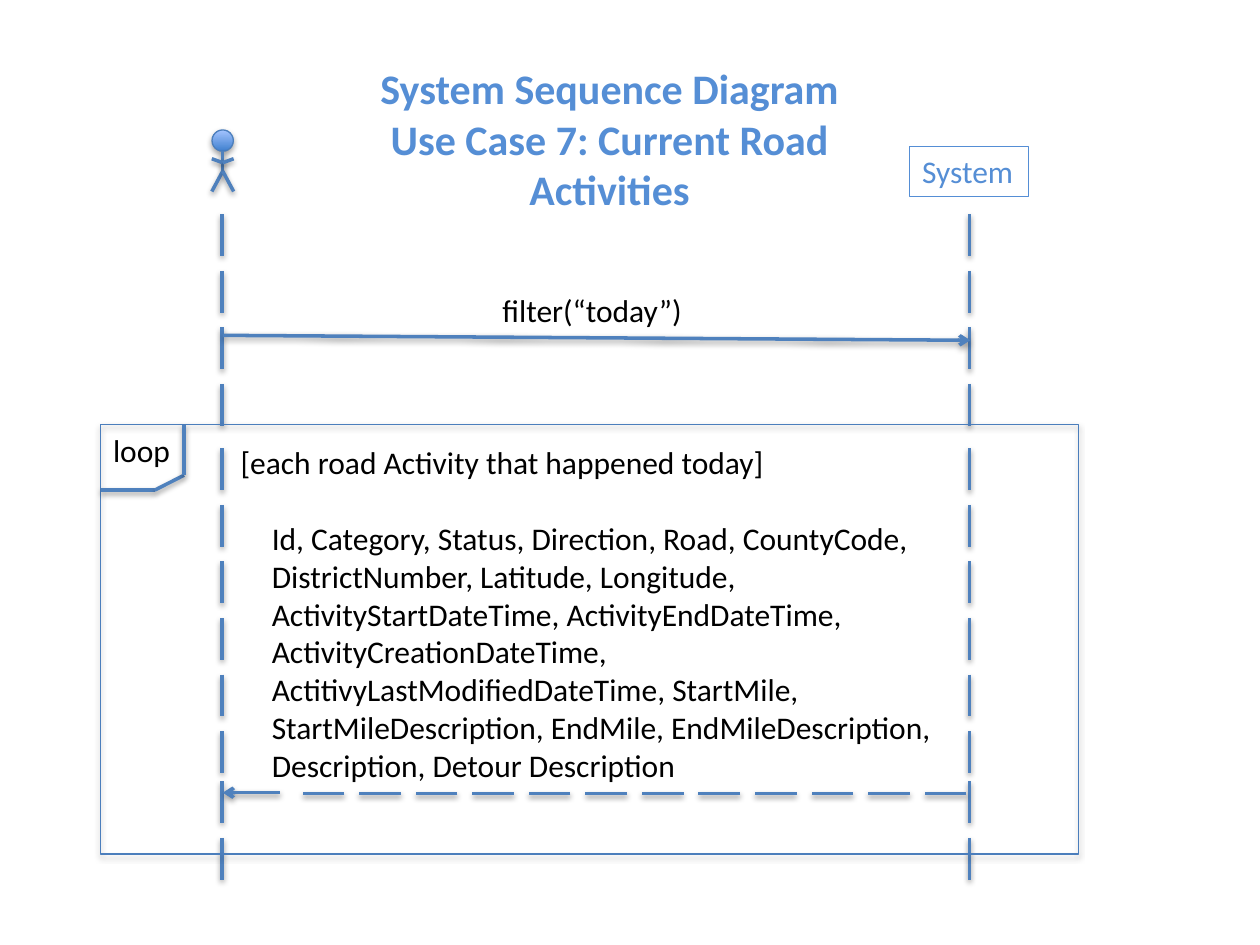
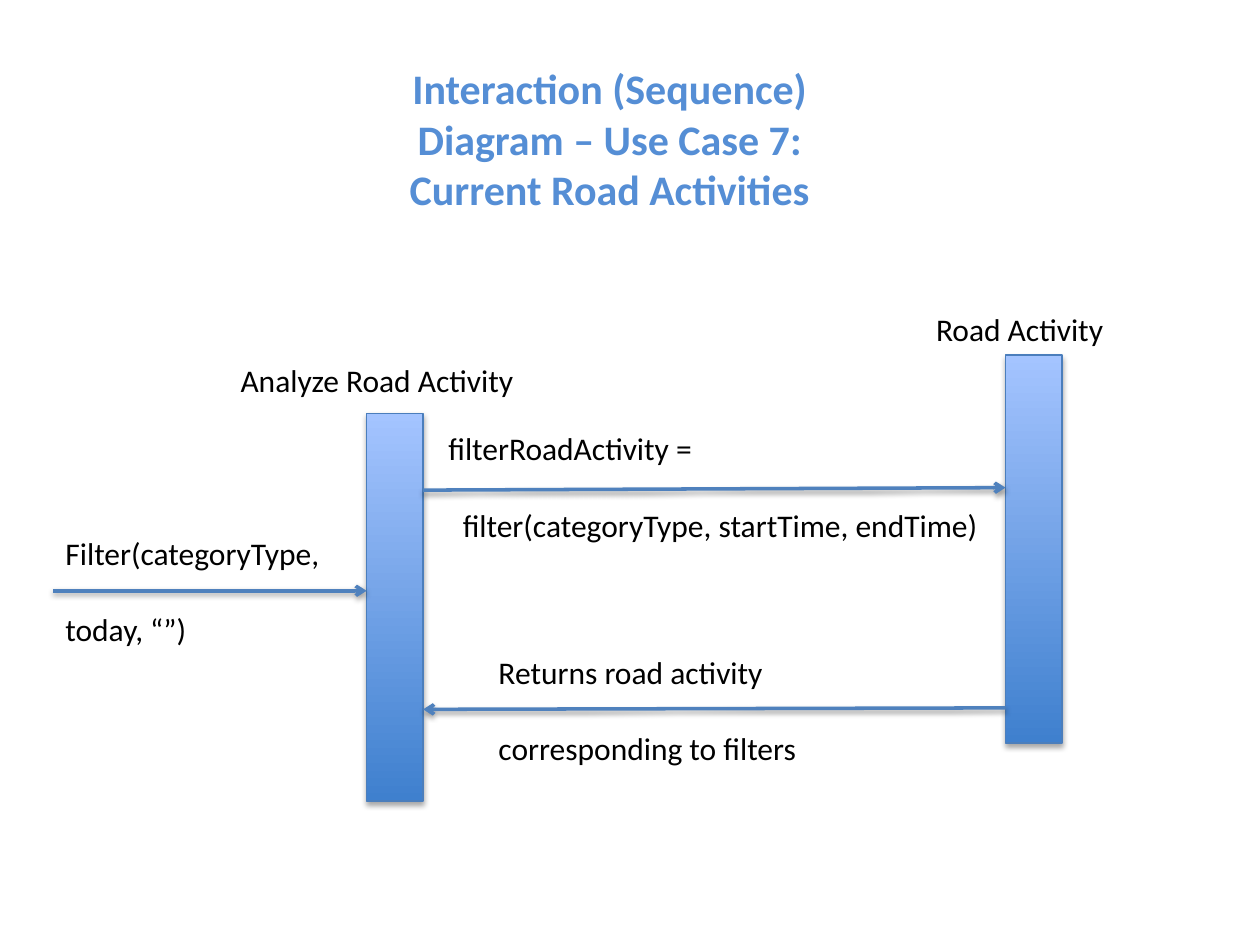
from itertools import pairwise

from lxml import etree
from pptx import Presentation
from pptx.dml.color import RGBColor
from pptx.enum import shapes as kinds, text as text_enum
from pptx.oxml.ns import qn
from pptx.util import Cm, Pt

FONT = "Calibri"
TITLE_BLUE = RGBColor(0x55, 0x8E, 0xD5)
LINE_BLUE = RGBColor(0x4F, 0x81, 0xBD)
EDGE_BLUE = RGBColor(0x4B, 0x7E, 0xBC)
DEEP_BLUE = RGBColor(0x3F, 0x80, 0xCE)
PALE_BLUE = RGBColor(0xA4, 0xC4, 0xFF)
BLACK = RGBColor(0, 0, 0)

# All positions and lengths below are in centimetres.
TITLE_BOX = (7.39, 1.14, 9.8, 3.33)
LINE_HEIGHT = 1.02
SKIPPED_LINE = Pt(22)

SYSTEM_TITLE = ["System Sequence Diagram", "Use Case 7: Current Road Activities"]
INTERACTION_TITLE = ["Interaction (Sequence) Diagram – Use Case 7: Current Road Activities"]

# Dashes
DASH, PITCH = 0.84, 1.14
LIFELINES = [4.47, 19.54]
LIFELINE_RUNS = [(4.32, 4), (9.04, 6), (15.75, 2)]  # top, number of dashes
RETURN_START, RETURN_Y, RETURN_DASHES = 19.48, 16, 12

# Actor
ACTOR_X, HEAD_TOP, HEAD_SIZE, LIMB_REACH = 4.49, 2.62, 0.43, 0.22
NECK, HANDS, SHOULDERS, HIPS, FEET = 3.05, 3.2, 3.28, 3.45, 3.86

# Loop frame
LOOP_FRAME = (2.03, 8.56, 19.71, 8.66)
LOOP_TAB = [(2.03, 9.88), (3.12, 9.88), (3.71, 9.58), (3.71, 8.56)]

# Labels: left, top, width, lines
SYSTEM_LABEL = (18.34, 2.95, 2.39, ["System"])
SYSTEM_LABELS = [
    (9.88, 5.74, 4.17, ["filter(“today”)"]),
    (5.23, 10.34, 13.94, [
        "Id, Category, Status, Direction, Road, CountyCode,",
        "DistrictNumber, Latitude, Longitude,",
        "ActivityStartDateTime, ActivityEndDateTime,",
        "ActivityCreationDateTime,",
        "ActitivyLastModifiedDateTime, StartMile,",
        "StartMileDescription, EndMile, EndMileDescription,",
        "Description, Detour Description",
    ]),
    (2.03, 8.56, 1.68, ["loop"]),
    (4.6, 8.81, 11.2, ["[each road Activity that happened today]"]),
]
SYSTEM_MESSAGES = [((5.64, 15.98), (4.49, 15.98)), ((4.49, 6.76), (19.56, 6.86))]

ACTIVATION_BARS = [(7.39, 8.33, 1.14, 7.82), (20.27, 7.16, 1.14, 7.82)]
OBJECT_LABELS = [
    (4.6, 7.16, 6.1, ["Analyze Road Activity"]),
    (18.62, 6.12, 3.94, ["Road Activity"]),
]
# Start, end, label around the arrow, indent of the label's second line
CALLS = [
    ((1.07, 11.91), (7.39, 11.91),
     (1.07, 10.64, 5.74, ["Filter(categoryType,", "today, “”)"]), 0),
    ((8.53, 9.88), (20.27, 9.83),
     (8.79, 8.53, 11.35, ["filterRoadActivity =",
                          "filter(categoryType, startTime, endTime)"]), 0.29),
    ((20.27, 14.27), (8.53, 14.3),
     (9.8, 13.03, 6.6, ["Returns road activity", "corresponding to filters"]), 0),
]


def cm(lengths):
    return [Cm(length) for length in lengths]


def write(frame, lines, size, color, bold=False):
    frame.text = "\n".join(lines)
    for paragraph in frame.paragraphs:
        font = paragraph.font
        font.name, font.size, font.bold = FONT, Pt(size), bold
        font.color.rgb = color


def add_titled_slide(deck, lines):
    slide = deck.slides.add_slide(deck.slide_layouts[5])
    title = slide.shapes.title
    title.left, title.top, title.width, title.height = cm(TITLE_BOX)
    frame = title.text_frame
    frame.auto_size = text_enum.MSO_AUTO_SIZE.NONE
    frame.vertical_anchor = text_enum.MSO_ANCHOR.TOP
    write(frame, lines, 24, TITLE_BLUE, bold=True)
    for paragraph in frame.paragraphs:
        paragraph.alignment = text_enum.PP_ALIGN.CENTER
    return slide.shapes


def add_label(shapes, label, color=BLACK):
    left, top, width, lines = label
    box = shapes.add_textbox(*cm((left, top, width, LINE_HEIGHT * len(lines))))
    box.text_frame.word_wrap = False
    box.text_frame.auto_size = text_enum.MSO_AUTO_SIZE.SHAPE_TO_FIT_TEXT
    write(box.text_frame, lines, 18, color)
    return box


def add_line(shapes, start, end, arrow=False):
    """Draw a line that keeps the theme's soft shadow."""
    line = shapes.add_connector(kinds.MSO_CONNECTOR.STRAIGHT, *cm(start + end))
    line.line.color.rgb = LINE_BLUE
    line.line.width = Pt(2)
    if arrow:
        etree.SubElement(line.line._get_or_add_ln(), qn("a:tailEnd"), type="arrow")


def add_outlined(shapes, kind, box):
    """Draw a shape with a thin edge and the theme's soft shadow."""
    shape = shapes.add_shape(kind, *cm(box))
    shape.line.color.rgb = EDGE_BLUE
    shape.line.width = Pt(0.75)
    return shape


def add_shaded(shapes, kind, box):
    fill = add_outlined(shapes, kind, box).fill
    fill.gradient()
    fill.gradient_angle = 90
    for stop, color in zip(fill.gradient_stops, (DEEP_BLUE, PALE_BLUE)):
        stop.color.rgb = color


def add_actor(shapes):
    actor = shapes.add_group_shape().shapes
    head = (ACTOR_X - HEAD_SIZE / 2, HEAD_TOP, HEAD_SIZE, HEAD_SIZE)
    add_shaded(actor, kinds.MSO_SHAPE.OVAL, head)
    add_line(actor, (ACTOR_X, NECK), (ACTOR_X, HIPS))
    for joint, tip in ((HIPS, FEET), (SHOULDERS, HANDS)):
        for side in (-LIMB_REACH, LIMB_REACH):
            add_line(actor, (ACTOR_X, joint), (ACTOR_X + side, tip))


def build_system_sequence(deck):
    shapes = add_titled_slide(deck, SYSTEM_TITLE)
    for x in LIFELINES:
        for run_top, count in LIFELINE_RUNS:
            for i in range(count):
                top = run_top + i * PITCH
                add_line(shapes, (x, top), (x, top + DASH))
    add_actor(shapes)
    system = add_label(shapes, SYSTEM_LABEL, TITLE_BLUE)
    system.line.color.rgb = TITLE_BLUE
    system.line.width = Pt(0.75)
    for i in range(RETURN_DASHES):
        right = RETURN_START - i * PITCH
        add_line(shapes, (right, RETURN_Y), (right - DASH, RETURN_Y))
    for start, end in SYSTEM_MESSAGES:
        add_line(shapes, start, end, arrow=True)
    add_outlined(shapes, kinds.MSO_SHAPE.RECTANGLE, LOOP_FRAME).fill.background()
    for start, end in pairwise(LOOP_TAB):
        add_line(shapes, start, end)
    for label in SYSTEM_LABELS:
        add_label(shapes, label)


def build_interaction(deck):
    shapes = add_titled_slide(deck, INTERACTION_TITLE)
    for bar in ACTIVATION_BARS:
        add_shaded(shapes, kinds.MSO_SHAPE.RECTANGLE, bar)
    for label in OBJECT_LABELS:
        add_label(shapes, label)
    for start, end, label, indent in CALLS:
        add_line(shapes, start, end, arrow=True)
        box = add_label(shapes, label)
        box.height = Cm(2.57)
        below_arrow = box.text_frame.paragraphs[1]
        below_arrow.space_before = SKIPPED_LINE
        if indent:
            below_arrow._p.get_or_add_pPr().set("marL", str(Cm(indent)))


def main():
    deck = Presentation()
    deck.slide_width, deck.slide_height = Cm(25.4), Cm(19.05)
    build_system_sequence(deck)
    build_interaction(deck)
    deck.save("out.pptx")


if __name__ == "__main__":
    main()
